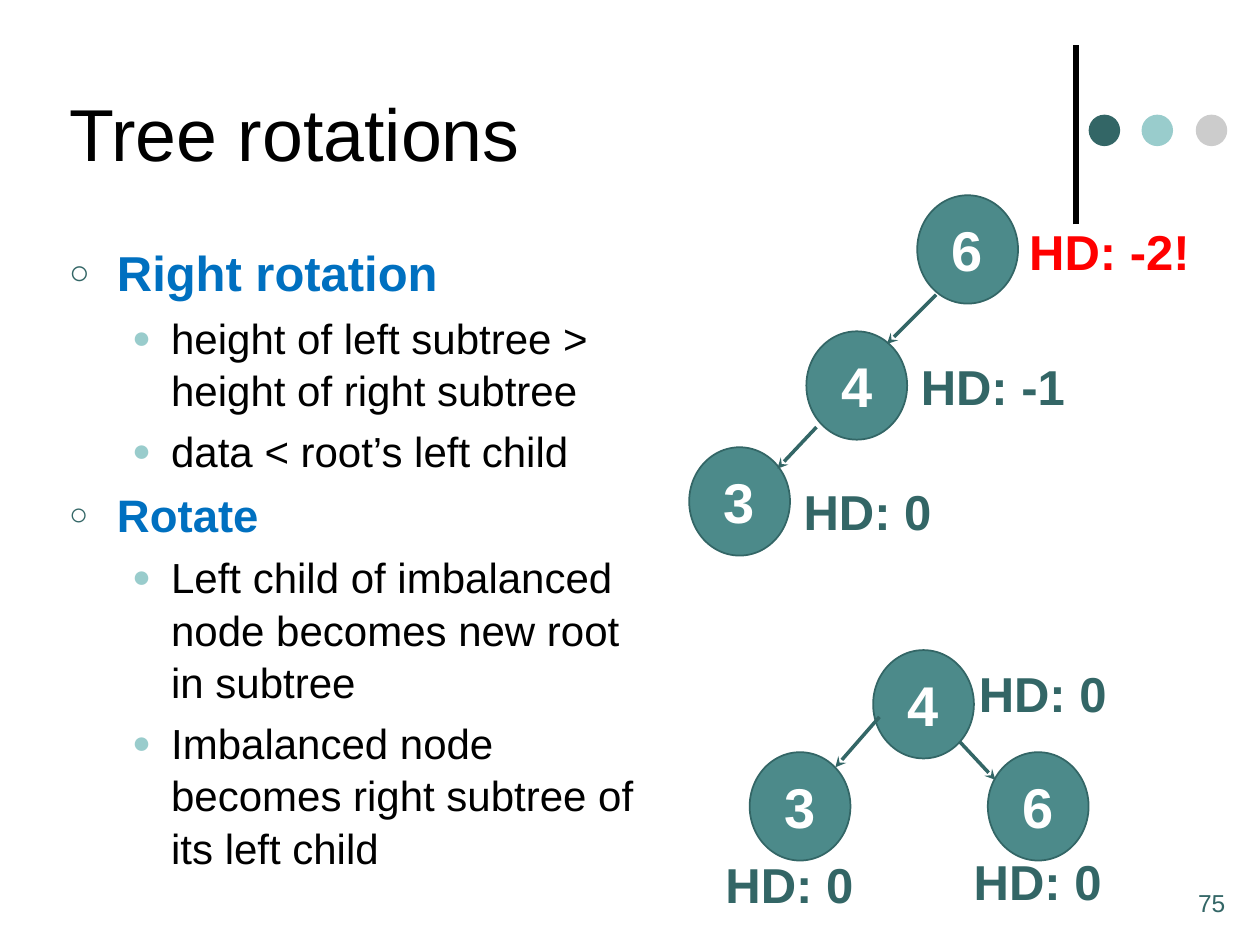
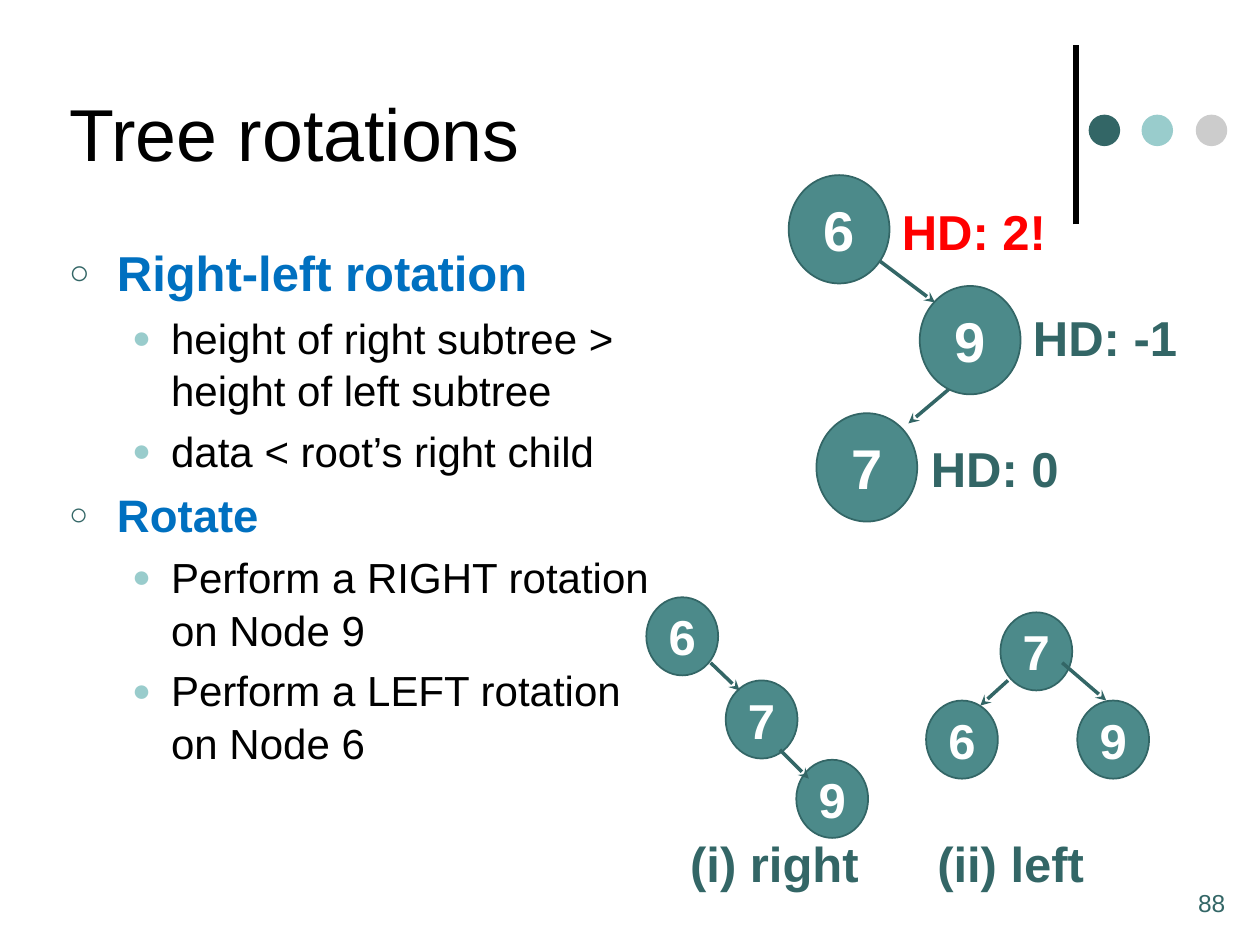
from dataclasses import dataclass

from lxml.etree import SubElement
from pptx import Presentation
from pptx.dml.color import RGBColor
from pptx.enum.shapes import MSO_CONNECTOR, MSO_SHAPE
from pptx.enum.text import MSO_ANCHOR, MSO_AUTO_SIZE, PP_ALIGN
from pptx.oxml.ns import qn
from pptx.util import Inches, Pt


@dataclass(frozen=True)
class Theme:
    font: str = "Arial"
    black: str = "000000"
    white: str = "FFFFFF"
    dark: str = "336666"
    teal: str = "4C8A8A"
    pale: str = "99CCCC"
    grey: str = "CCCCCC"
    blue: str = "0070C0"
    red: str = "FF0000"
    title: int = 42
    node: int = 32
    label: int = 28
    heading: int = 28
    subheading: int = 26
    body: int = 24
    number: int = 14


LARGE = (0.8, 0.86)
SMALL = (0.57, 0.62)


class Deck:
    def __init__(self, theme):
        self.theme = theme
        self.prs = Presentation()
        self.prs.slide_width = Inches(10)
        self.prs.slide_height = Inches(7.5)
        self.s = None

    def run(self, p, text, size, color, bold=False):
        r = p.add_run()
        r.text = text
        r.font.name = self.theme.font
        r.font.size = Pt(size)
        r.font.bold = bold
        r.font.color.rgb = RGBColor.from_string(color)

    def box(self, x, y, w, h, wrap=True):
        sp = self.s.shapes.add_textbox(Inches(x), Inches(y), Inches(w), Inches(h))
        sp.text_frame.word_wrap = wrap
        return sp.text_frame

    def line(self, x1, y1, x2, y2, color, width):
        c = self.s.shapes.add_connector(
            MSO_CONNECTOR.STRAIGHT, Inches(x1), Inches(y1), Inches(x2), Inches(y2))
        c.line.color.rgb = RGBColor.from_string(color)
        c.line.width = Pt(width)
        SubElement(c._element.spPr, qn("a:effectLst"))
        return c

    def arrow(self, x1, y1, x2, y2):
        c = self.line(x1, y1, x2, y2, self.theme.dark, 2)
        SubElement(c.line._get_or_add_ln(), qn("a:tailEnd"), type="stealth")

    def ellipse(self, x, y, w, h, fill, outline=None):
        sp = self.s.shapes.add_shape(
            MSO_SHAPE.OVAL, Inches(x), Inches(y), Inches(w), Inches(h))
        sp.shadow.inherit = False
        sp.fill.solid()
        sp.fill.fore_color.rgb = RGBColor.from_string(fill)
        if outline:
            sp.line.color.rgb = RGBColor.from_string(outline)
            sp.line.width = Pt(1)
        else:
            sp.line.fill.background()
        return sp

    def node(self, key, x, y, size, points):
        sp = self.ellipse(x, y, *size, self.theme.teal, self.theme.dark)
        tf = sp.text_frame
        tf.word_wrap = False
        tf.vertical_anchor = MSO_ANCHOR.MIDDLE
        p = tf.paragraphs[0]
        p.alignment = PP_ALIGN.CENTER
        self.run(p, key, points, self.theme.white, True)

    def tree(self, nodes, arrows, size=LARGE, points=None):
        for key, x, y in nodes:
            self.node(key, x, y, size, points or self.theme.node)
        for ends in arrows:
            self.arrow(*ends)

    def label(self, text, x, y, w, color=None):
        tf = self.box(x, y, w, 0.57, wrap=False)
        tf.auto_size = MSO_AUTO_SIZE.SHAPE_TO_FIT_TEXT
        self.run(tf.paragraphs[0], text, self.theme.label, color or self.theme.dark, True)

    def bullet(self, p, char, color, percent, left, hanging):
        pPr = p._p.get_or_add_pPr()
        pPr.set("marL", str(Inches(left)))
        pPr.set("indent", str(-Inches(hanging)))
        clr = SubElement(pPr, qn("a:buClr"))
        SubElement(clr, qn("a:srgbClr"), val=color)
        SubElement(pPr, qn("a:buSzPct"), val=str(percent * 1000))
        SubElement(pPr, qn("a:buFont"), typeface=self.theme.font)
        SubElement(pPr, qn("a:buChar"), char=char)

    def outline(self, sections):
        t = self.theme
        tf = self.box(0.45, 1.86, 4.81, 5.42)
        rows = []
        for (heading, points), size in zip(sections, (t.heading, t.subheading)):
            rows.append((heading, size, True))
            rows += [(point, t.body, False) for point in points]
        for i, (text, size, is_heading) in enumerate(rows):
            p = tf.add_paragraph() if i else tf.paragraphs[0]
            p.line_spacing = 1.04
            if i:
                p.space_before = Pt(0.2 * size)
            if is_heading:
                self.bullet(p, "○", t.dark, 70, 0.38, 0.38)
            else:
                self.bullet(p, "●", t.pale, 75, 0.81, 0.31)
            self.run(p, text, size, t.blue if is_heading else t.black, is_heading)

    def slide(self, title, number):
        t = self.theme
        self.s = self.prs.slides.add_slide(self.prs.slide_layouts[6])
        self.line(8.54, 1.78, 8.54, 0.36, t.black, 3)
        for x, color in zip((8.64, 9.06, 9.49), (t.dark, t.pale, t.grey)):
            self.ellipse(x, 0.91, 0.25, 0.25, color)
        tf = self.box(0.45, 0.21, 7.67, 1.67)
        tf.vertical_anchor = MSO_ANCHOR.MIDDLE
        self.run(tf.paragraphs[0], title, t.title, t.black)
        tf = self.box(9.41, 7, 0.59, 0.5)
        self.run(tf.paragraphs[0], number, t.number, t.dark)


def right_rotation(deck):
    deck.slide("Tree rotations", "75")
    deck.outline([
        ("Right rotation", ["height of left subtree > height of right subtree",
                            "data < root’s left child"]),
        ("Rotate", ["Left child of imbalanced node becomes new root in subtree",
                    "Imbalanced node becomes right subtree of its left child"]),
    ])
    deck.tree([("3", 5.47, 3.55), ("6", 7.28, 1.55), ("4", 6.4, 2.63)],
              [(6.48, 3.39, 6.17, 3.72), (7.43, 2.34, 7.04, 2.73)])
    deck.label("HD: 0", 6.28, 3.77, 1.23)
    deck.label("HD: -1", 7.21, 2.78, 1.36)
    deck.label("HD: -2!", 8.07, 1.71, 1.49, deck.theme.red)
    deck.tree([("6", 7.84, 5.97), ("3", 5.95, 5.97), ("4", 6.93, 5.16)],
              [(7.62, 5.89, 7.9, 6.19), (6.98, 5.69, 6.63, 6.09)])
    for x, y in ((7.63, 6.71), (5.66, 6.73), (7.67, 5.22)):
        deck.label("HD: 0", x, y, 1.23)


def right_left_rotation(deck):
    deck.slide("Tree rotations", "88")
    deck.outline([
        ("Right-left rotation", ["height of right subtree > height of left subtree",
                                 "data < root’s right child"]),
        ("Rotate", ["Perform a RIGHT rotation on Node 9",
                    "Perform a LEFT rotation on Node 6"]),
    ])
    deck.tree([("7", 6.48, 3.28), ("6", 6.26, 1.39), ("9", 7.3, 2.27)],
              [(7.53, 3.09, 7.21, 3.36), (6.98, 2.07, 7.42, 2.4)])
    deck.label("HD: 0", 7.29, 3.43, 1.23)
    deck.label("HD: -1", 8.1, 2.39, 1.36)
    deck.label("HD: 2!", 7.06, 1.55, 1.36, deck.theme.red)
    small_text = deck.theme.label
    deck.tree([("9", 6.32, 6.03), ("6", 5.13, 4.74), ("7", 5.76, 5.4)],
              [(5.64, 5.26, 5.87, 5.48), (6.19, 5.95, 6.42, 6.18)], SMALL, small_text)
    deck.tree([("6", 7.35, 5.56), ("9", 8.55, 5.56), ("7", 7.94, 4.86)],
              [(8, 5.4, 7.78, 5.6), (8.43, 5.26, 8.78, 5.56)], SMALL, small_text)
    deck.label("(i) right", 5.38, 6.57, 1.56)
    deck.label("(ii) left", 7.34, 6.57, 1.38)


def main():
    deck = Deck(Theme())
    right_rotation(deck)
    right_left_rotation(deck)
    deck.prs.save("out.pptx")


if __name__ == "__main__":
    main()
